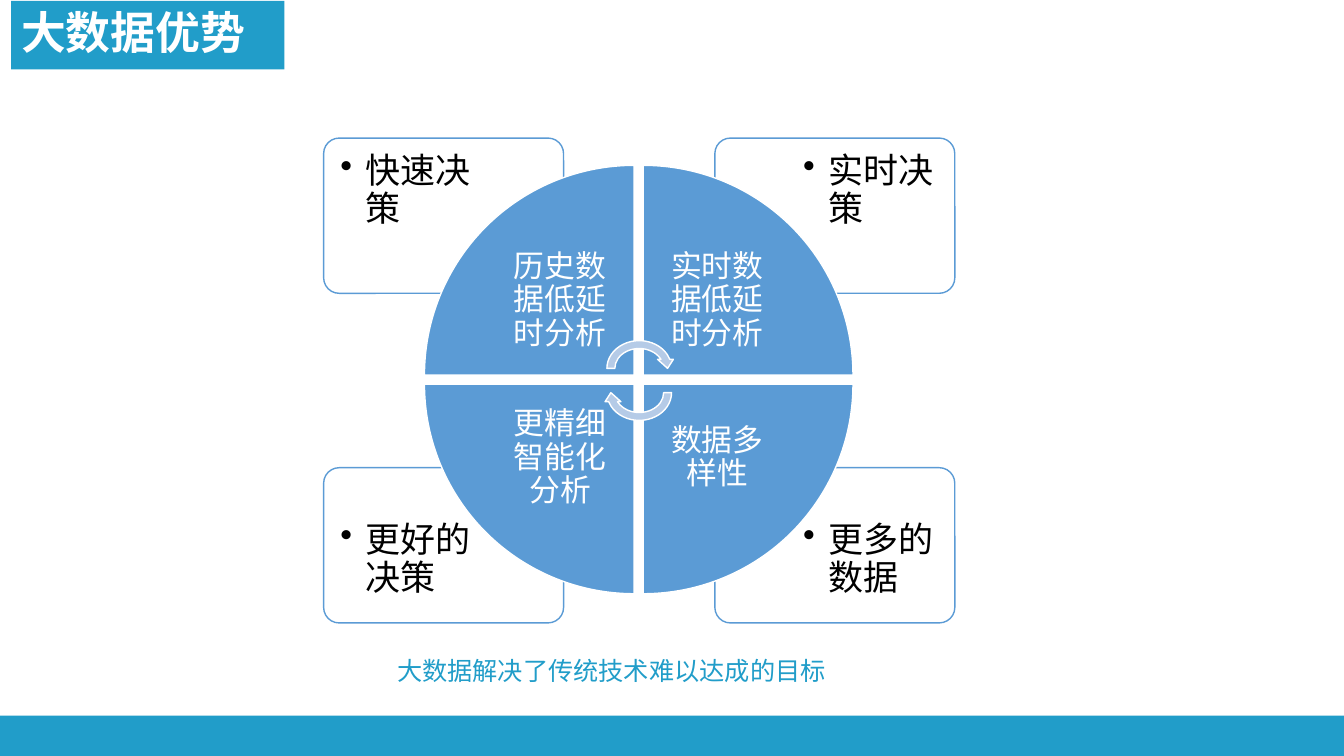
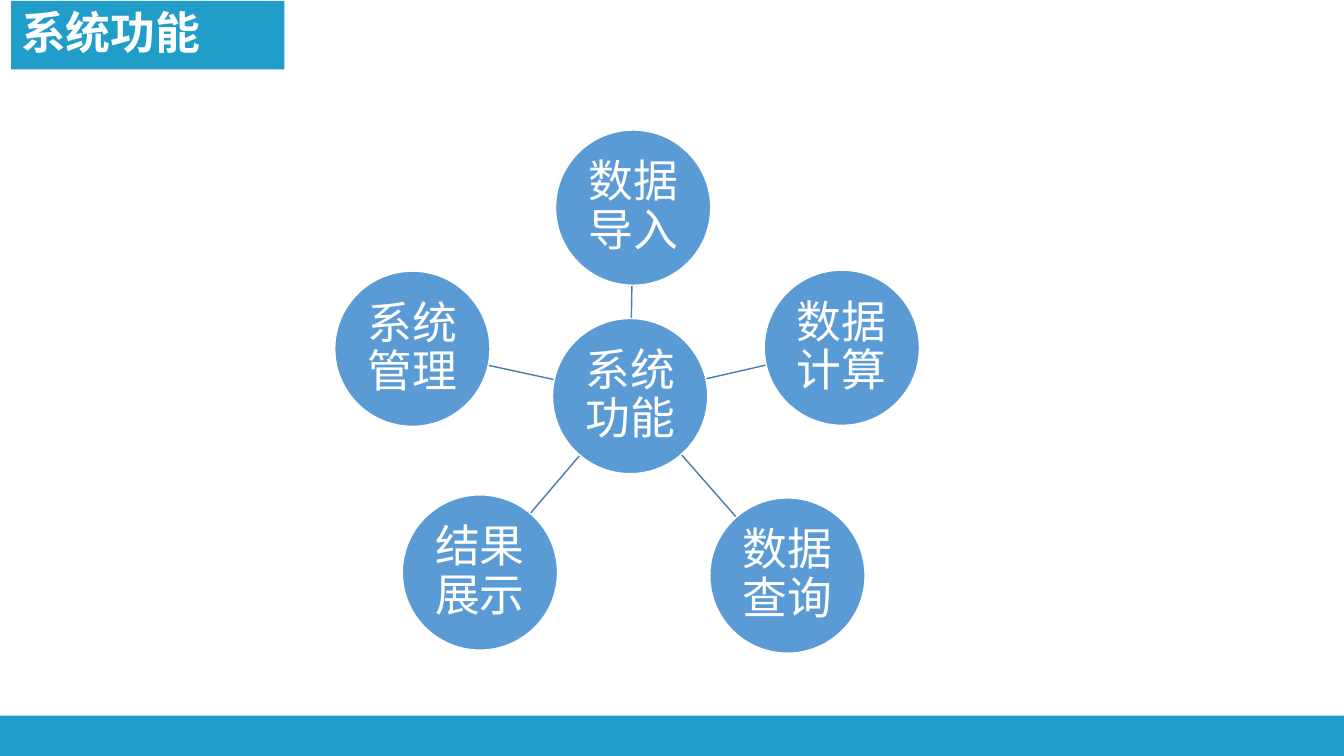
from math import hypot

from lxml.etree import SubElement
from pptx import Presentation
from pptx.dml.color import RGBColor
from pptx.enum.shapes import MSO_CONNECTOR, MSO_SHAPE
from pptx.enum.text import MSO_ANCHOR, MSO_AUTO_SIZE, PP_ALIGN
from pptx.oxml.ns import qn
from pptx.util import Inches, Pt

# Shared style
BRAND, BLUE, PALE, LINK = "219DC9", "5B9BD5", "B5CBE7", "497CAB"
WHITE, BLACK = "FFFFFF", "000000"
HEAD_FONT, BODY_FONT = "Noto Sans CJK SC", "Calibri"

# Slide 1 content: (column, row, text); the wedges run clockwise
ADVANTAGES = "大数据优势"
CARDS = [(1, 1, "更多的数据"), (0, 1, "更好的决策"),
         (1, 0, "实时决策"), (0, 0, "快速决策")]
WEDGES = [(0, 0, "历史数据低延时分析"), (1, 0, "实时数据低延时分析"),
          (1, 1, "数据多样性"), (0, 1, "更精细智能化分析")]
CAPTION = "大数据解决了传统技术难以达成的目标"

# Slide 2 content: centre x, centre y, text
FUNCTIONS = "系统功能"
HUB = (6.25, 3.93, "系统功能")
NODES = [(6.28, 2.06, "数据导入"), (8.35, 3.45, "数据计算"),
         (7.81, 5.71, "数据查询"), (4.09, 3.46, "系统管理"),
         (4.76, 5.68, "结果展示")]
RADIUS = 0.77


def rgb(value):
    return RGBColor.from_string(value)


def box(*lengths):
    return [Inches(v) for v in lengths]


def add_shape(s, kind, at, fill, line=None, rotation=0):
    sp = s.shapes.add_shape(kind, *box(*at))
    sp.shadow.inherit = False
    sp.rotation = rotation
    sp.fill.solid()
    sp.fill.fore_color.rgb = rgb(fill)
    if line:
        sp.line.color.rgb = rgb(line)
        sp.line.width = Pt(1)
    else:
        sp.line.fill.background()
    return sp


def write(sp, text, size, color, font=BODY_FONT, bold=False, spacing=0.9,
          align=PP_ALIGN.LEFT, anchor=MSO_ANCHOR.TOP,
          margins=(0.1, 0.05, 0.1, 0.05), bullet=False):
    tf = sp.text_frame
    tf.word_wrap = True
    tf.auto_size = MSO_AUTO_SIZE.NONE
    tf.vertical_anchor = anchor
    (tf.margin_left, tf.margin_top,
     tf.margin_right, tf.margin_bottom) = box(*margins)
    p = tf.paragraphs[0]
    if bullet:
        pPr = p._p.get_or_add_pPr()
        pPr.set("marL", str(Inches(0.25)))
        pPr.set("indent", str(-Inches(0.25)))
        SubElement(pPr, qn("a:buChar"), char="•")
    p.alignment = align
    p.line_spacing = spacing
    p.space_before = Pt(0)
    r = p.add_run()
    r.text = text
    r.font.name, r.font.size, r.font.bold = font, Pt(size), bold
    r.font.color.rgb = rgb(color)
    if font == HEAD_FONT:
        SubElement(r._r.get_or_add_rPr(), qn("a:ea"), typeface=font)


def add_slide(prs, title):
    s = prs.slides.add_slide(prs.slide_layouts[5])
    sp = s.shapes.title
    sp.left, sp.top, sp.width, sp.height = box(0.11, 0.01, 2.71, 0.68)
    sp.fill.solid()
    sp.fill.fore_color.rgb = rgb(BRAND)
    write(sp, title, 32, WHITE, HEAD_FONT, bold=True, spacing=1.0,
          margins=(0.1, 0.04, 0.1, 0.05))
    return s


def add_master_band(prs, s):
    band = add_shape(s, MSO_SHAPE.RECTANGLE, (0, 7.1, 13.33, 0.4), BRAND)
    band.element.nvSpPr.cNvPr.set("id", "99")
    prs.slide_master.shapes.element.append(band.element)


def build_advantages(s):
    # Corner cards, text kept to the outer side
    near, far = 0.12, 0.83
    for col, row, text in CARDS:
        sp = add_shape(s, MSO_SHAPE.ROUNDED_RECTANGLE,
                       (3.21 + 3.88 * col, 1.37 + 3.27 * row, 2.38, 1.54),
                       WHITE, BLUE)
        sp.adjustments[0] = 0.1
        left, right = (far, near) if col else (near, far)
        write(sp, text, 25, BLACK, bullet=True,
              margins=(left, 0.5 if row else 0.11, right, 0.1))

    # Quarter wedges with upright labels near the centre
    size, label, step = 2.08, 1.47, 2.17
    for i, (col, row, text) in enumerate(WEDGES):
        x, y = 4.21 + step * col, 1.64 + step * row
        add_shape(s, MSO_SHAPE.PIE_WEDGE, (x, y, size, size), BLUE, WHITE,
                  rotation=90 * i)
        dx, dy = (0 if side else size - label for side in (col, row))
        tb = s.shapes.add_textbox(*box(x + dx, y + dy, label, label))
        write(tb, text, 22, WHITE, align=PP_ALIGN.CENTER,
              anchor=MSO_ANCHOR.MIDDLE, margins=(0.17,) * 4)

    # Cycle arrows
    for y, rotation in ((3.34, 0), (3.58, 180)):
        add_shape(s, MSO_SHAPE.CIRCULAR_ARROW, (5.98, y, 0.72, 0.63),
                  PALE, WHITE, rotation)

    tb = s.shapes.add_textbox(*box(3.84, 6.45, 4.68, 0.4))
    write(tb, CAPTION, 18, BRAND, HEAD_FONT, spacing=1.0)


def build_functions(s):
    # Links run from the hub's edge to each node's edge
    hx, hy, _ = HUB
    for x, y, _ in NODES:
        dist = hypot(x - hx, y - hy)
        ux, uy = (x - hx) / dist * RADIUS, (y - hy) / dist * RADIUS
        link = s.shapes.add_connector(
            MSO_CONNECTOR.STRAIGHT, *box(hx + ux, hy + uy, x - ux, y - uy))
        link.line.color.rgb = rgb(LINK)
        link.line.width = Pt(1)
        SubElement(link.element.spPr, qn("a:effectLst"))

    # Hub and nodes
    for x, y, text in [HUB] + NODES:
        sp = add_shape(s, MSO_SHAPE.OVAL,
                       (x - RADIUS, y - RADIUS, 2 * RADIUS, 2 * RADIUS),
                       BLUE, WHITE)
        write(sp, text, 32, WHITE, align=PP_ALIGN.CENTER,
              anchor=MSO_ANCHOR.MIDDLE, margins=(0.02,) * 4)


def main():
    prs = Presentation()
    prs.slide_width, prs.slide_height = box(13.33, 7.5)
    s = add_slide(prs, ADVANTAGES)
    add_master_band(prs, s)
    build_advantages(s)
    build_functions(add_slide(prs, FUNCTIONS))
    prs.save("out.pptx")


if __name__ == "__main__":
    main()
